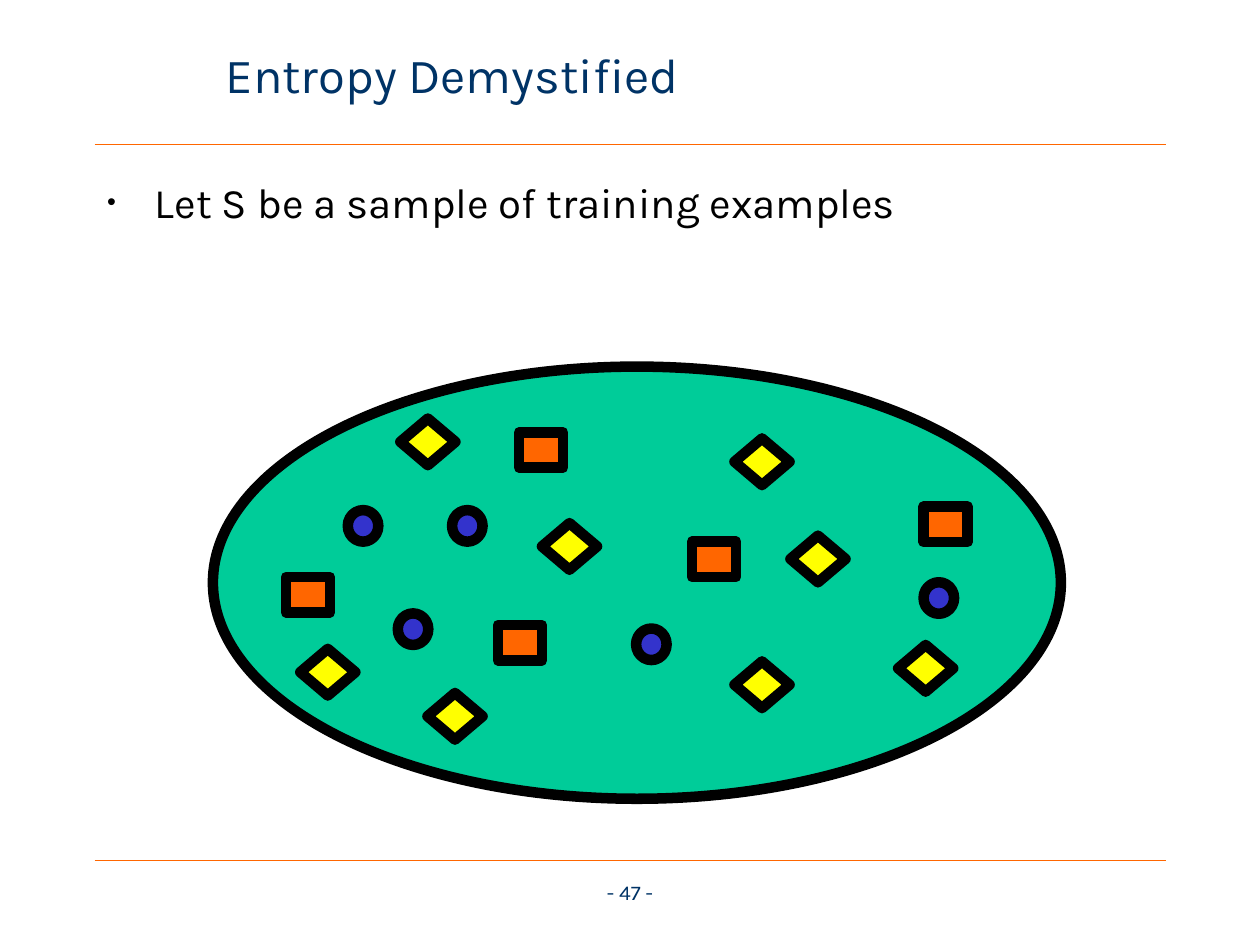
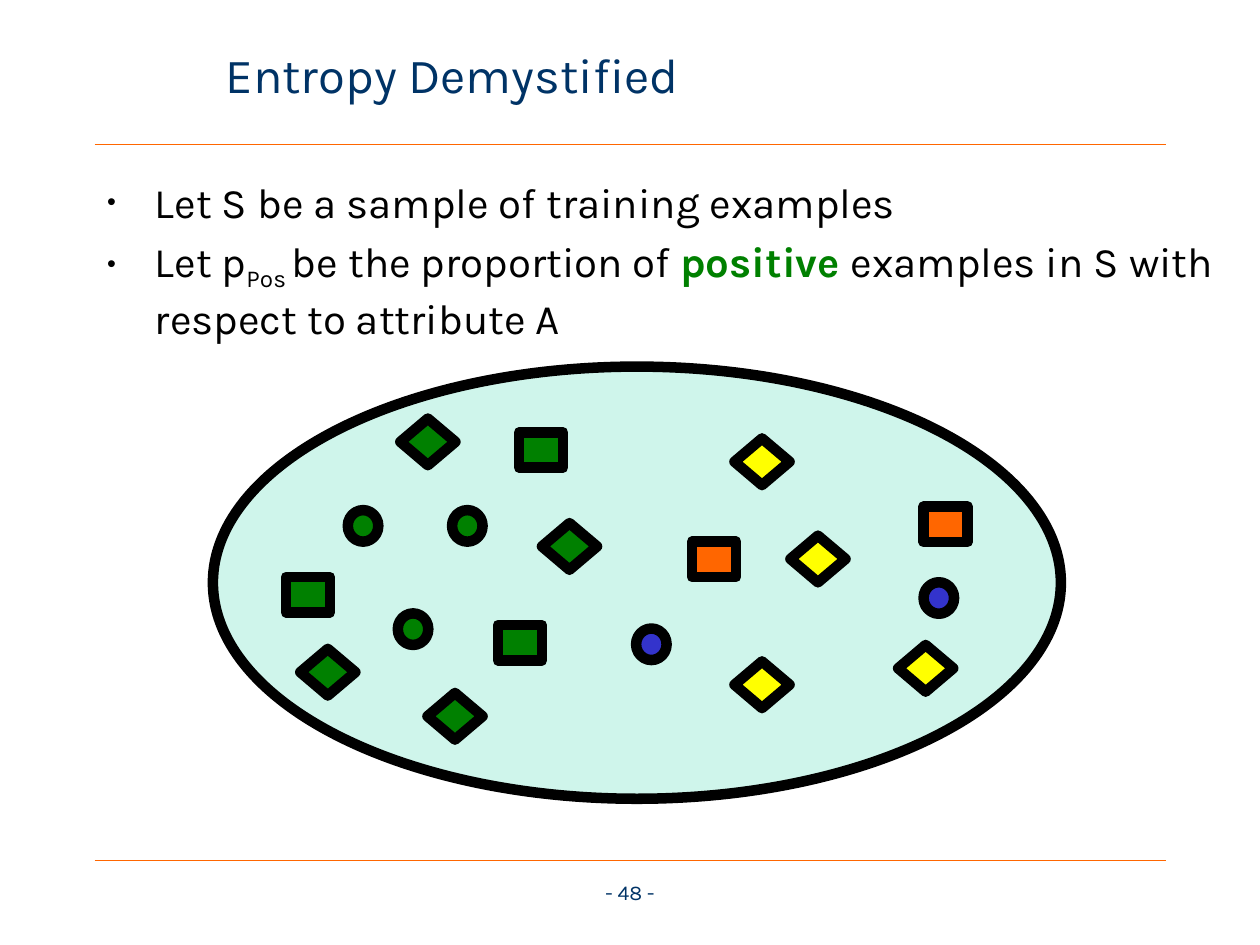
from collections import namedtuple

from lxml import etree
from pptx import Presentation
from pptx import util as u
from pptx.dml.color import RGBColor
from pptx.enum import shapes, text
from pptx.oxml.ns import qn

Box = namedtuple("Box", "left top width height")
Kind = namedtuple("Kind", "preset color width height places")

SLIDE_WIDTH, SLIDE_HEIGHT = u.Inches(10), u.Inches(7.5)
FONT = "Karla"
NAVY, ORANGE, BLACK = "003366", "FF6600", "000000"
GREEN, TEAL, BLUE, YELLOW = "008000", "00CC99", "3333CC", "FFFF00"

TITLE_BOX = Box(16.9, 1.73, 62.1, 12.27)
BODY_BOX = Box(7.5, 18, 90.7, 69.73)
NUMBER_BOX = Box(44.7, 92.4, 10.6, 3.33)
SAMPLE_BOX = Box(16.9, 38.8, 67.3, 45.73)
RULE_LEFT, RULE_WIDTH, RULE_TOPS = 7.5, 85, (15.33, 91.07)

POSITIVE_SHARE = 48
EXAMPLE_KINDS = (
    Kind(shapes.MSO_SHAPE.OVAL, BLUE, 3.6, 7.3,
         ((15.9, 33.2), (21.8, 57.1), (28.2, 33.2), (83.8, 49.9), (49.9, 60.6))),
    Kind(shapes.MSO_SHAPE.RECTANGLE, ORANGE, 5.2, 8.2,
         ((36.1, 15.2), (33.6, 59.8), (56.5, 40.5), (83.8, 32.4), (8.6, 48.7))),
    Kind(shapes.MSO_SHAPE.DIAMOND, YELLOW, 6.5, 10.8,
         ((38.8, 36.2), (61.5, 16.6), (68.1, 39.1), (61.5, 68.2),
          (80.8, 64.4), (25.3, 75.5), (22.1, 12), (10.3, 65.3))),
)

SAMPLE_POINT = [("Let S be a sample of training examples", {})]
PROPORTION_POINT = [
    ("Let p", {}),
    ("Pos ", {"baseline": -25}),
    ("be the proportion of ", {}),
    ("positive ", {"color": GREEN, "bold": True}),
    ("examples in S with respect to attribute A", {}),
]


def rgb(color):
    return RGBColor.from_string(color)


def inside(outer, share):
    return Box(
        int(outer.left + outer.width * share.left / 100),
        int(outer.top + outer.height * share.top / 100),
        int(outer.width * share.width / 100),
        int(outer.height * share.height / 100),
    )


SLIDE_BOX = Box(0, 0, SLIDE_WIDTH, SLIDE_HEIGHT)


def set_all(target, values):
    for name, value in values.items():
        setattr(target, name, value)


def add_run(paragraph, words, size, color, bold=False, baseline=0):
    run = paragraph.add_run()
    run.text = words
    set_all(run.font, {"name": FONT, "size": u.Pt(size), "bold": bold})
    run.font.color.rgb = rgb(color)
    if baseline:
        run.font._element.set("baseline", str(baseline * 1000))


def add_rule(slide, top):
    box = inside(SLIDE_BOX, Box(RULE_LEFT, top, RULE_WIDTH, 0))
    rule = slide.shapes.add_connector(
        shapes.MSO_CONNECTOR.STRAIGHT, box.left, box.top, box.left + box.width, box.top)
    rule.line.color.rgb = rgb(ORANGE)
    rule.line.width = u.Pt(0.75)
    etree.SubElement(rule.element.spPr, qn("a:effectLst"))


def add_title(slide, words):
    title = slide.shapes.title
    set_all(title, inside(SLIDE_BOX, TITLE_BOX)._asdict())
    set_all(title.text_frame, {"auto_size": text.MSO_AUTO_SIZE.NONE,
                               "vertical_anchor": text.MSO_ANCHOR.MIDDLE})
    paragraph = title.text_frame.paragraphs[0]
    paragraph.alignment = text.PP_ALIGN.LEFT
    add_run(paragraph, words, 28, NAVY)


def add_bullet(paragraph):
    properties = paragraph._p.get_or_add_pPr()
    properties.set("marL", str(u.Inches(0.38)))
    properties.set("indent", str(-u.Inches(0.38)))
    for tag, name, value in (("a:buSzPct", "val", "60000"),
                             ("a:buFont", "typeface", "Arial"),
                             ("a:buChar", "char", "•")):
        etree.SubElement(properties, qn(tag)).set(name, value)


def add_points(slide, points):
    body = slide.placeholders[1]
    set_all(body, inside(SLIDE_BOX, BODY_BOX)._asdict())
    frame = body.text_frame
    set_all(frame, {"auto_size": text.MSO_AUTO_SIZE.NONE,
                    "vertical_anchor": text.MSO_ANCHOR.TOP})
    for index, point in enumerate(points):
        paragraph = frame.add_paragraph() if index else frame.paragraphs[0]
        if index == 0:
            paragraph.space_before = u.Pt(0)
        add_bullet(paragraph)
        for words, look in point:
            add_run(paragraph, words, **{"size": 24, "color": BLACK, **look})


def add_number(slide, number):
    box = slide.shapes.add_textbox(*inside(SLIDE_BOX, NUMBER_BOX))
    box.text_frame.word_wrap = True
    paragraph = box.text_frame.paragraphs[0]
    paragraph.alignment = text.PP_ALIGN.CENTER
    add_run(paragraph, f"- {number} -", 12, NAVY)


def add_outlined(slide, preset, box, color, opacity=100):
    shape = slide.shapes.add_shape(preset, *box)
    shape.shadow.inherit = False
    shape.fill.solid()
    shape.fill.fore_color.rgb = rgb(color)
    shape.line.color.rgb = rgb(BLACK)
    shape.line.width = u.Pt(6)
    etree.SubElement(shape.element.spPr.find(qn("a:ln")), qn("a:round"))
    if opacity < 100:
        fill_color = shape.element.spPr.find(qn("a:solidFill"))[0]
        etree.SubElement(fill_color, qn("a:alpha")).set("val", str(opacity * 1000))


def add_sample(slide, box, mark_positive):
    add_outlined(slide, shapes.MSO_SHAPE.OVAL, box, TEAL, 19 if mark_positive else 100)
    for kind in EXAMPLE_KINDS:
        for left, top in kind.places:
            positive = mark_positive and left < POSITIVE_SHARE
            place = inside(box, Box(left, top, kind.width, kind.height))
            add_outlined(slide, kind.preset, place, GREEN if positive else kind.color)


def add_entropy_slide(presentation, number, points, mark_positive):
    slide = presentation.slides.add_slide(presentation.slide_layouts[1])
    for top in RULE_TOPS:
        add_rule(slide, top)
    add_title(slide, "Entropy Demystified")
    add_points(slide, points)
    add_number(slide, number)
    add_sample(slide, inside(SLIDE_BOX, SAMPLE_BOX), mark_positive)


def main():
    presentation = Presentation()
    set_all(presentation, {"slide_width": SLIDE_WIDTH, "slide_height": SLIDE_HEIGHT})
    add_entropy_slide(presentation, 47, [SAMPLE_POINT], False)
    add_entropy_slide(presentation, 48, [SAMPLE_POINT, PROPORTION_POINT], True)
    presentation.save("out.pptx")


if __name__ == "__main__":
    main()
